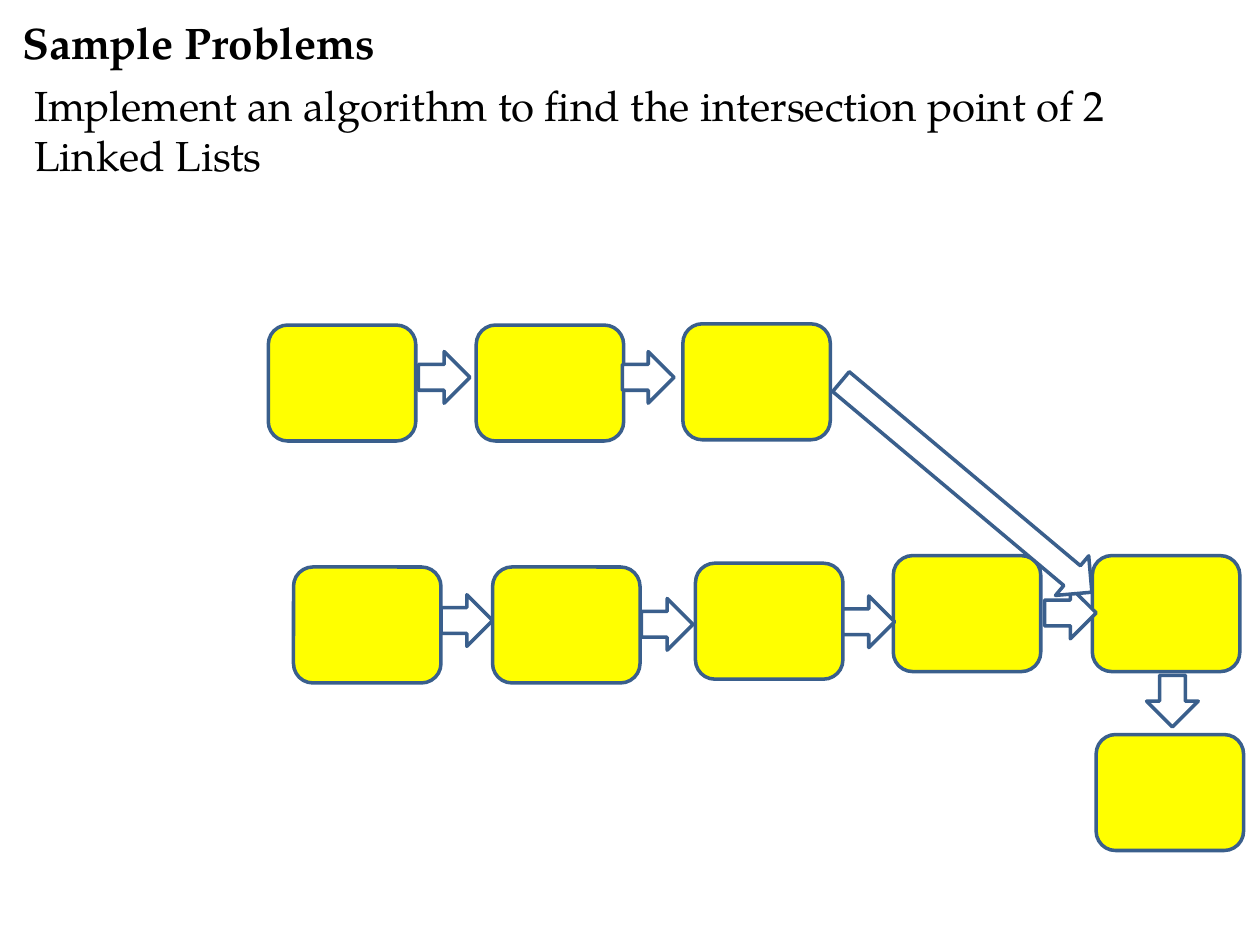
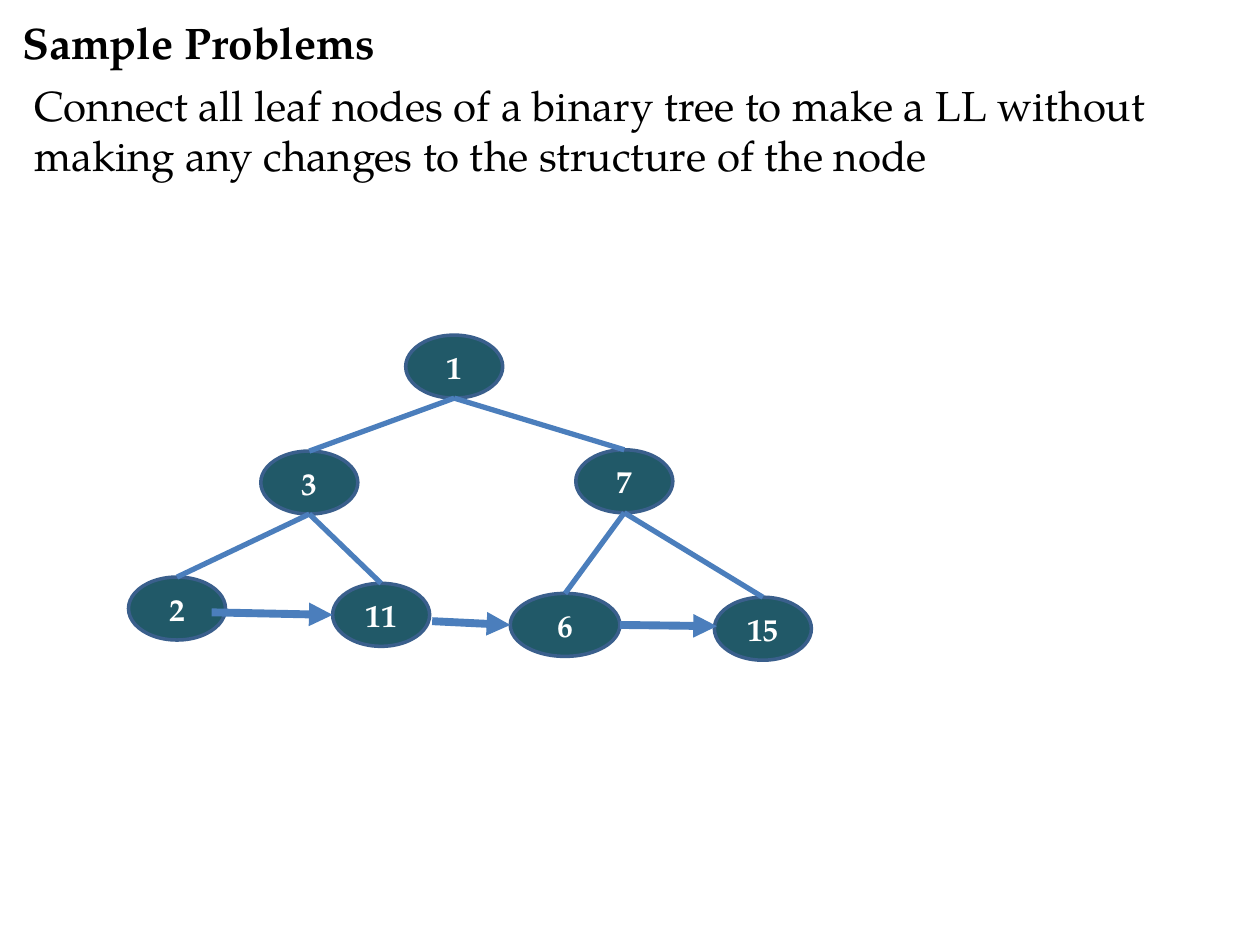
from lxml.etree import SubElement
from pptx import Presentation
from pptx.dml.color import RGBColor
from pptx.enum.shapes import MSO_CONNECTOR as CONNECTOR, MSO_SHAPE as SHAPE
from pptx.enum.text import MSO_ANCHOR as ANCHOR, MSO_AUTO_SIZE as AUTO_SIZE, PP_ALIGN as ALIGN
from pptx.oxml.ns import qn
from pptx.util import Inches, Pt

FONT = "TeX Gyre Pagella"
BLACK, WHITE, YELLOW = "000000", "FFFFFF", "FFFF00"
TEAL, OUTLINE, EDGE = "215968", "3A5F8C", "4B7EBC"

TITLE = "Sample Problems"
LISTS_TASK = "Implement an algorithm to find the intersection point of 2 Linked Lists"
TREE_TASK = ("Connect all leaf nodes of a binary tree to make a LL without "
             "making any changes to the structure of the node")

# Linked lists: left and top of each box; left, top, length and turn of each arrow
BOX_SIZE = (1.17, 0.92)
ARROW_SIZE = 0.41
FIRST_LIST = [(2.13, 2.58), (3.78, 2.58), (5.42, 2.57)]
SECOND_LIST = [(2.33, 4.5), (3.91, 4.5), (5.52, 4.47), (7.09, 4.41)]
SHARED_TAIL = [(8.67, 4.41), (8.7, 5.83)]
FIRST_ARROWS = [(3.32, 2.79), (4.94, 2.79)]
SECOND_ARROWS = [(3.5, 4.72), (5.09, 4.75), (6.69, 4.73), (8.29, 4.66)]
MERGE_ARROW = (6.37, 3.66, 2.6, 40)
DOWN_ARROW = (9.1, 5.36, ARROW_SIZE, 90)

# Tree: left, top and width of each node; children of each parent
NODE_HEIGHT = 0.5
NODES = {
    "1": (3.22, 2.66, 0.77),
    "3": (2.07, 3.58, 0.77),
    "7": (4.57, 3.57, 0.77),
    "2": (1.02, 4.58, 0.77),
    "11": (2.64, 4.63, 0.77),
    "6": (4.05, 4.71, 0.87),
    "15": (5.67, 4.74, 0.77),
}
CHILDREN = {"1": ("3", "7"), "3": ("2", "11"), "7": ("6", "15")}
LEAF_LINKS = [
    ((1.68, 4.86), (2.64, 4.88)),
    ((3.43, 4.93), (4.05, 4.96)),
    ((4.92, 4.96), (5.69, 4.97)),
]


def color(value):
    """Turn a hex string into a colour."""
    return RGBColor.from_string(value)


def add_run(paragraph, text, size, text_color, bold=False):
    """Add one formatted run to a paragraph."""
    run = paragraph.add_run()
    run.text = text
    run.font.name = FONT
    run.font.size = Pt(size)
    run.font.bold = bold
    run.font.color.rgb = color(text_color)


def fill_placeholder(placeholder, box, text, size, anchor, bold=False):
    """Move a placeholder and give it one left-aligned, unbulleted paragraph."""
    placeholder.left, placeholder.top, placeholder.width, placeholder.height = map(Inches, box)
    frame = placeholder.text_frame
    frame.word_wrap = True
    frame.auto_size = AUTO_SIZE.NONE
    frame.vertical_anchor = anchor
    paragraph = frame.paragraphs[0]
    paragraph.alignment = ALIGN.LEFT
    properties = paragraph._p.get_or_add_pPr()
    properties.set("marL", "0")
    properties.set("indent", "0")
    SubElement(properties, qn("a:buNone"))
    add_run(paragraph, text, size, BLACK, bold)


def add_problem_slide(presentation, task):
    """Add a slide with the shared title and its task."""
    slide = presentation.slides.add_slide(presentation.slide_layouts[1])
    fill_placeholder(slide.shapes.title, (0.08, 0.08, 9.67, 0.5), TITLE, 25.2, ANCHOR.MIDDLE, True)
    fill_placeholder(slide.placeholders[1], (0.17, 0.58, 9.75, 6.83), task, 24, ANCHOR.TOP)
    return slide


def add_outlined(slide, kind, left, top, width, height, fill):
    """Add a filled preset shape with the shared outline."""
    shape = slide.shapes.add_shape(kind, *map(Inches, (left, top, width, height)))
    shape.shadow.inherit = False
    shape.fill.solid()
    shape.fill.fore_color.rgb = color(fill)
    shape.line.color.rgb = color(OUTLINE)
    shape.line.width = Pt(2)
    return shape


def add_block_arrow(slide, left, top, length=ARROW_SIZE, turn=0):
    """Add a white block arrow, turned clockwise by some degrees."""
    arrow = add_outlined(slide, SHAPE.RIGHT_ARROW, left, top, length, ARROW_SIZE, WHITE)
    arrow.rotation = turn


def add_node(slide, label, left, top, width):
    """Add a labelled tree node."""
    node = add_outlined(slide, SHAPE.OVAL, left, top, width, NODE_HEIGHT, TEAL)
    frame = node.text_frame
    frame.vertical_anchor = ANCHOR.MIDDLE
    frame.paragraphs[0].alignment = ALIGN.CENTER
    add_run(frame.paragraphs[0], label, 18, WHITE, bold=True)


def add_line(slide, start, end, width, arrowhead=False):
    """Add a straight line, with an arrowhead at its end if wanted."""
    line = slide.shapes.add_connector(CONNECTOR.STRAIGHT, *map(Inches, start + end))
    line.line.color.rgb = color(EDGE)
    line.line.width = Pt(width)
    if arrowhead:
        SubElement(line.line._get_or_add_ln(), qn("a:tailEnd"), type="triangle")
    SubElement(line._element.spPr, qn("a:effectLst"))


def build_lists_slide(presentation):
    """Draw two linked lists that meet in a shared tail."""
    slide = add_problem_slide(presentation, LISTS_TASK)
    for left, top in FIRST_LIST + SECOND_LIST + SHARED_TAIL:
        add_outlined(slide, SHAPE.ROUNDED_RECTANGLE, left, top, *BOX_SIZE, YELLOW)
    for arrow in FIRST_ARROWS + SECOND_ARROWS + [MERGE_ARROW, DOWN_ARROW]:
        add_block_arrow(slide, *arrow)


def build_tree_slide(presentation):
    """Draw a binary tree whose leaves are linked by arrows."""
    slide = add_problem_slide(presentation, TREE_TASK)
    for label, place in NODES.items():
        add_node(slide, label, *place)
    for parent, children in CHILDREN.items():
        left, top, width = NODES[parent]
        bottom_point = (left + width / 2, top + NODE_HEIGHT)
        for child in children:
            left, top, width = NODES[child]
            add_line(slide, bottom_point, (left + width / 2, top), 3)
    for start, end in LEAF_LINKS:
        add_line(slide, start, end, 4.5, arrowhead=True)


presentation = Presentation()
presentation.slide_width, presentation.slide_height = Inches(10), Inches(7.5)
build_lists_slide(presentation)
build_tree_slide(presentation)
presentation.save("out.pptx")
